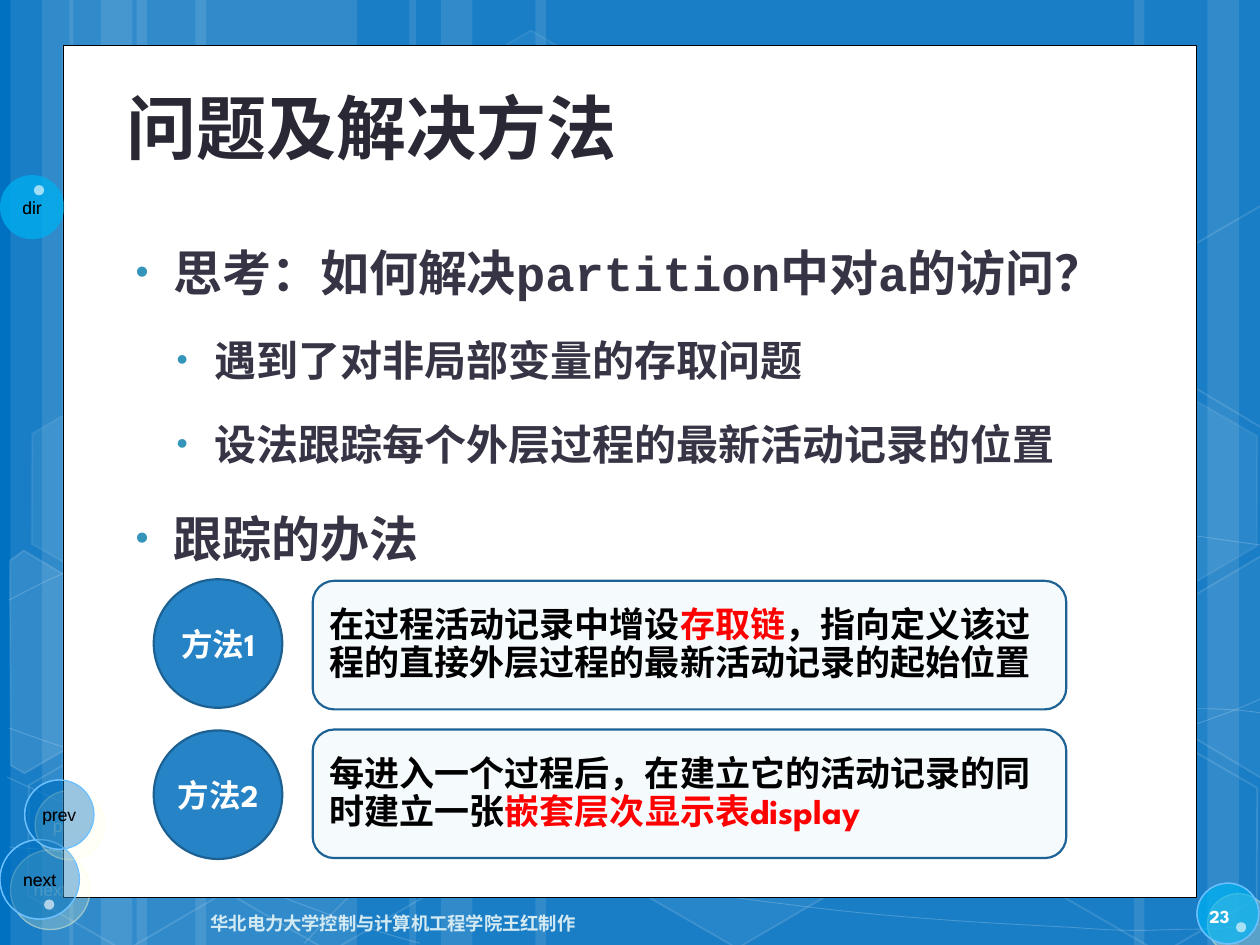
from dataclasses import dataclass
from math import cos, radians, sin
from typing import NamedTuple, Optional

from lxml import etree
from pptx import Presentation
from pptx.dml.color import RGBColor
from pptx.enum.shapes import MSO_SHAPE
from pptx.enum.text import MSO_ANCHOR, PP_ALIGN
from pptx.oxml.ns import qn
from pptx.util import Pt

RECT, OVAL = MSO_SHAPE.RECTANGLE, MSO_SHAPE.OVAL
HEXAGON, ROUNDED = MSO_SHAPE.HEXAGON, MSO_SHAPE.ROUNDED_RECTANGLE
TOP, MIDDLE, BOTTOM = MSO_ANCHOR.TOP, MSO_ANCHOR.MIDDLE, MSO_ANCHOR.BOTTOM
LEFT, CENTER, RIGHT = PP_ALIGN.LEFT, PP_ALIGN.CENTER, PP_ALIGN.RIGHT


@dataclass(frozen=True)
class Theme:
    back: str = "0070C0"
    white: str = "FFFFFF"
    black: str = "000000"
    title: str = "292834"
    body: str = "373545"
    bullet: str = "3494BA"
    accent: str = "FF0000"
    footer: str = "D4EAF3"
    number: str = "FEFEFE"
    cyan: str = "00B0F0"
    ball_line: str = "6DC0FF"
    glow: str = "FFFFCC"
    badge: str = "2683C6"
    badge_line: str = "1C6192"
    card: str = "D1E7F6"
    card_line: str = "1D6294"
    cjk: str = "Noto Sans CJK SC"
    sans: str = "Arial"
    mono: str = "Courier New"
    display: str = "League Spartan"
    title_size: float = 40
    body_sizes: tuple = (28, 24)
    card_size: float = 20
    badge_size: float = 18
    foot_size: float = 10.5
    nav_size: float = 10


T = Theme()
TILT = 30


class Box(NamedTuple):
    x: float
    y: float
    w: float
    h: float


class Paint(NamedTuple):
    """A colour, its opacity in percent, and a width when used for a line."""
    color: str
    alpha: float = 100
    width: float = 1


class Ball(NamedTuple):
    box: Box
    color: str
    alpha: float
    label: str = ""
    ringed: bool = True


class Method(NamedTuple):
    name: str
    runs: list


STRIPES = [(78, 126), (6, 36), (24, 60), (111.6, 126), (39.6, 36), (57.6, 60),
           (528, 126), (690, 36), (648, 60), (306, 222), (234, 36), (252, 60)]
# Each curve: a start point, then three points for every cubic segment.
CURVES = [
    [(5, 484.5), (44, 487), (83, 489), (137, 488), (191, 487), (258, 486), (330, 479),
     (402, 472), (504, 458), (570, 444), (636, 431), (703, 409), (725, 397)],
    [(5, 343), (26, 332), (47, 321), (87, 310), (128, 299), (186, 284), (250, 279),
     (314, 274), (392, 273), (471, 279), (550, 284), (682, 307), (725, 312)],
    [(4, 444), (91, 484), (178, 523), (240, 539)],
    [(5, 416), (27, 424), (50, 432), (92, 444), (134, 454), (197, 472), (257, 485),
     (317, 497), (392, 510), (452, 517), (512, 525), (576, 528), (614, 530),
     (652, 533), (662, 531), (680, 531), (699, 531), (712, 529), (725, 528)],
    [(174, 539), (187, 525), (200, 510), (217, 498), (235, 485), (259, 470), (279, 460),
     (300, 450), (312, 446), (338, 438), (364, 431), (413, 421), (438, 416),
     (464, 411), (467, 411), (490, 410), (512, 408), (547, 405), (572, 405),
     (597, 404), (638, 405), (638, 405), (654, 405), (670, 405), (686, 405),
     (699, 405), (711, 406), (718, 407), (724, 408), (722, 407), (724, 408)],
]
# Left, top, fill opacity, line opacity.
HEXAGONS = [(240.5, 26, 4, 8), (358, 424, 6, 12), (8, 425.5, 0, 12), (10, 224.6, 7, 8),
            (125.3, 426, 0, 12), (542, 326, 10, 12), (600.5, 427, 0, 12), (600.5, 226, 7, 8)]
# Centre, corners as seen after tilting, fill opacity.
CUT_HEXAGONS = [
    ((25.9, 385.2), [(6, 320), (14, 315), (69, 347), (68, 410), (14, 442), (6, 437)], 10),
    ((709.2, 374.4), [(667, 349), (721, 317.5), (726, 321), (726, 441), (721, 444), (667, 412.5)], 4),
    ((709.2, 173.5), [(667, 149), (721, 117.5), (726, 121), (726, 241), (721, 244), (667, 212.5)], 0),
]
BALLS = [
    Ball(Box(684, 504.7, 35.3, 34.6), T.cyan, 50),
    Ball(Box(0, 100, 36.7, 36.7), T.cyan, 50, "dir", False),
    Ball(Box(0, 479.8, 45.4, 45.4), T.back, 40, "next"),
    Ball(Box(14.1, 445.7, 39.6, 39.6), T.back, 40, "prev"),
    *(Ball(Box(x, y, 5.8, 5.8), T.white, 50, "", False)
      for x, y in [(25.2, 514), (19.4, 105.8), (706.3, 527)]),
]
BULLETS = [(0, "思考：如何解决partition中对a的访问？"), (1, "遇到了对非局部变量的存取问题"),
           (1, "设法跟踪每个外层过程的最新活动记录的位置"), (0, "跟踪的办法")]
METHODS = [
    Method("方法1", [("在过程活动记录中增设", T.black), ("存取链", T.accent),
                   ("，指向定义该过程的直接外层过程的最新活动记录的起始位置", T.black)]),
    Method("方法2", [("每进入一个过程后，在建立它的活动记录的同时建立一张", T.black),
                   ("嵌套层次显示表display", T.accent)]),
]


def rgb(color: str) -> RGBColor:
    return RGBColor.from_string(color)


def add_alpha(parent, alpha: float) -> None:
    if alpha < 100:
        clr = parent.find(qn("a:solidFill"))[0]
        etree.SubElement(clr, qn("a:alpha"), val=str(int(alpha * 1000)))


def paint(sp, fill: Optional[Paint] = None, line: Optional[Paint] = None) -> None:
    sp.shadow.inherit = False
    spPr = sp._element.spPr
    if fill and fill.alpha:
        sp.fill.solid()
        sp.fill.fore_color.rgb = rgb(fill.color)
        add_alpha(spPr, fill.alpha)
    else:
        sp.fill.background()
    if line:
        sp.line.color.rgb = rgb(line.color)
        sp.line.width = Pt(line.width)
        add_alpha(spPr.find(qn("a:ln")), line.alpha)
    else:
        sp.line.fill.background()


def add_shape(shapes, kind, box: Box, fill=None, line=None):
    sp = shapes.add_shape(kind, *map(Pt, box))
    paint(sp, fill, line)
    return sp


def add_outline(shapes, points, closed: bool, fill=None, line=None):
    builder = shapes.build_freeform(*points[0], scale=Pt(1))
    builder.add_line_segments(points[1:], close=closed)
    sp = builder.convert_to_shape()
    paint(sp, fill, line)
    return sp


def add_curve(shapes, knots) -> None:
    """Draw the control polygon, then join every three of its legs into one cubic."""
    sp = add_outline(shapes, knots, False, line=Paint(T.white, 20, 0.5))
    legs = list(sp._element.spPr.iter(qn("a:lnTo")))
    for i in range(0, len(legs), 3):
        cubic = etree.SubElement(legs[i].getparent(), qn("a:cubicBezTo"))
        for leg in legs[i:i + 3]:
            cubic.append(leg[0])
            leg.getparent().remove(leg)


def untilt(point, center) -> tuple:
    dx, dy = point[0] - center[0], point[1] - center[1]
    c, s = cos(radians(TILT)), sin(radians(TILT))
    return round(center[0] + dx * c + dy * s, 2), round(center[1] - dx * s + dy * c, 2)


def set_frame(sp, anchor, inset: Optional[float] = None, wrap: bool = True):
    tf = sp.text_frame
    tf.word_wrap, tf.vertical_anchor = wrap, anchor
    if inset is not None:
        for side in ("left", "right", "top", "bottom"):
            setattr(tf, f"margin_{side}", Pt(inset))
    return tf


def add_run(p, text: str, color: str, size: float, name: str, bold: bool = True) -> None:
    r = p.add_run()
    r.text = text
    for key, value in {"size": Pt(size), "name": name, "bold": bold}.items():
        setattr(r.font, key, value)
    r.font.color.rgb = rgb(color)
    etree.SubElement(r._r.get_or_add_rPr(), qn("a:ea"), typeface=T.cjk)


def add_label(shapes, box: Box, text: str, anchor, align, **style) -> None:
    p = set_frame(shapes.add_textbox(*map(Pt, box)), anchor).paragraphs[0]
    p.alignment = align
    add_run(p, text, **style)


def add_backdrop(shapes) -> None:
    for x, w in STRIPES:
        add_shape(shapes, RECT, Box(x, 0, w, 540), Paint(T.white, 10))
    for knots in CURVES:
        add_curve(shapes, knots)
    for x, y, fill, line in HEXAGONS:
        sp = add_shape(shapes, HEXAGON, Box(x, y, 126, 109.4), Paint(T.white, fill), Paint(T.white, line))
        sp.adjustments[0] = 0.285
        sp.rotation = TILT
    for center, corners, fill in CUT_HEXAGONS:
        sp = add_outline(shapes, [untilt(c, center) for c in corners], True,
                         Paint(T.white, fill), Paint(T.white, 12))
        sp.rotation = TILT


def add_ball(shapes, ball: Ball) -> None:
    sp = add_shape(shapes, OVAL, ball.box, Paint(ball.color, ball.alpha),
                   Paint(T.ball_line, 100, 0.75) if ball.ringed else None)
    if ball.ringed:
        shadow = etree.SubElement(sp._element.spPr.find(qn("a:effectLst")), qn("a:outerShdw"),
                                  dist=str(Pt(8.5)), dir="2700000", algn="ctr", rotWithShape="0")
        clr = etree.SubElement(shadow, qn("a:srgbClr"), val=T.glow)
        etree.SubElement(clr, qn("a:alpha"), val="30000")
    if ball.label:
        p = set_frame(sp, MIDDLE, wrap=False).paragraphs[0]
        p.alignment = CENTER
        add_run(p, ball.label, T.black, T.nav_size, T.sans, False)


def add_bullets(shapes, box: Box) -> None:
    tf = set_frame(shapes.add_textbox(*map(Pt, box)), TOP)
    for i, (level, text) in enumerate(BULLETS):
        p = tf.add_paragraph() if i else tf.paragraphs[0]
        size = T.body_sizes[level]
        pPr = p._p.get_or_add_pPr()
        pPr.set("marL", str(Pt((27, 50.4)[level])))
        pPr.set("indent", str(Pt(-21.6)))
        clr = etree.SubElement(pPr, qn("a:buClr"))
        etree.SubElement(clr, qn("a:srgbClr"), val=T.bullet)
        etree.SubElement(pPr, qn("a:buSzPct"), val="76000")
        etree.SubElement(pPr, qn("a:buFont"), typeface=T.sans)
        etree.SubElement(pPr, qn("a:buChar"), char="•")
        p.level, p.line_spacing = level, 1.5
        if i:
            p.space_before = Pt(size * 0.2)
        add_run(p, text, T.body, size, T.mono)


def add_method(shapes, method: Method, card_y: float, badge_y: float) -> None:
    card = add_shape(shapes, ROUNDED, Box(178.7, card_y, 430.6, 73.44),
                     Paint(T.card, 20), Paint(T.card_line, 100, 1.25))
    p = set_frame(card, MIDDLE, 6).paragraphs[0]
    p.alignment, p.line_spacing = LEFT, 0.9
    for text, color in method.runs:
        add_run(p, text, color, T.card_size, T.display)
    badge = add_shape(shapes, OVAL, Box(87.84, badge_y, 73.44, 73.44),
                      Paint(T.badge), Paint(T.badge_line, 100, 1.25))
    p = set_frame(badge, MIDDLE, 2).paragraphs[0]
    p.alignment = CENTER
    add_run(p, method.name, T.white, T.badge_size, T.display)


def main() -> None:
    prs = Presentation()
    prs.slide_width, prs.slide_height = Pt(720), Pt(540)
    slide = prs.slides.add_slide(prs.slide_layouts[6])
    slide.background.fill.solid()
    slide.background.fill.fore_color.rgb = rgb(T.back)
    shapes = slide.shapes

    add_backdrop(shapes)
    for over_panel in (False, True):
        if over_panel:
            add_shape(shapes, RECT, Box(36, 26, 648, 487), Paint(T.white), Paint(T.black, 100, 0.5))
        for ball in BALLS:
            add_ball(shapes, ball)

    add_label(shapes, Box(65.5, 32, 570, 67.7), "问题及解决方法", BOTTOM, LEFT,
              color=T.title, size=T.title_size, name=T.cjk)
    add_bullets(shapes, Box(65, 118, 589, 363))
    foot = {"size": T.foot_size, "name": T.display}
    add_label(shapes, Box(68.4, 513.4, 267.8, 28.8), "华北电力大学控制与计算机工程学院王红制作",
              MIDDLE, RIGHT, color=T.footer, **foot)
    add_label(shapes, Box(684, 509, 33.8, 28.8), "23", MIDDLE, LEFT, color=T.number, **foot)
    for i, method in enumerate(METHODS):
        add_method(shapes, method, 331.9 + i * 85, 331 + i * 86.4)

    prs.save("out.pptx")


if __name__ == "__main__":
    main()
